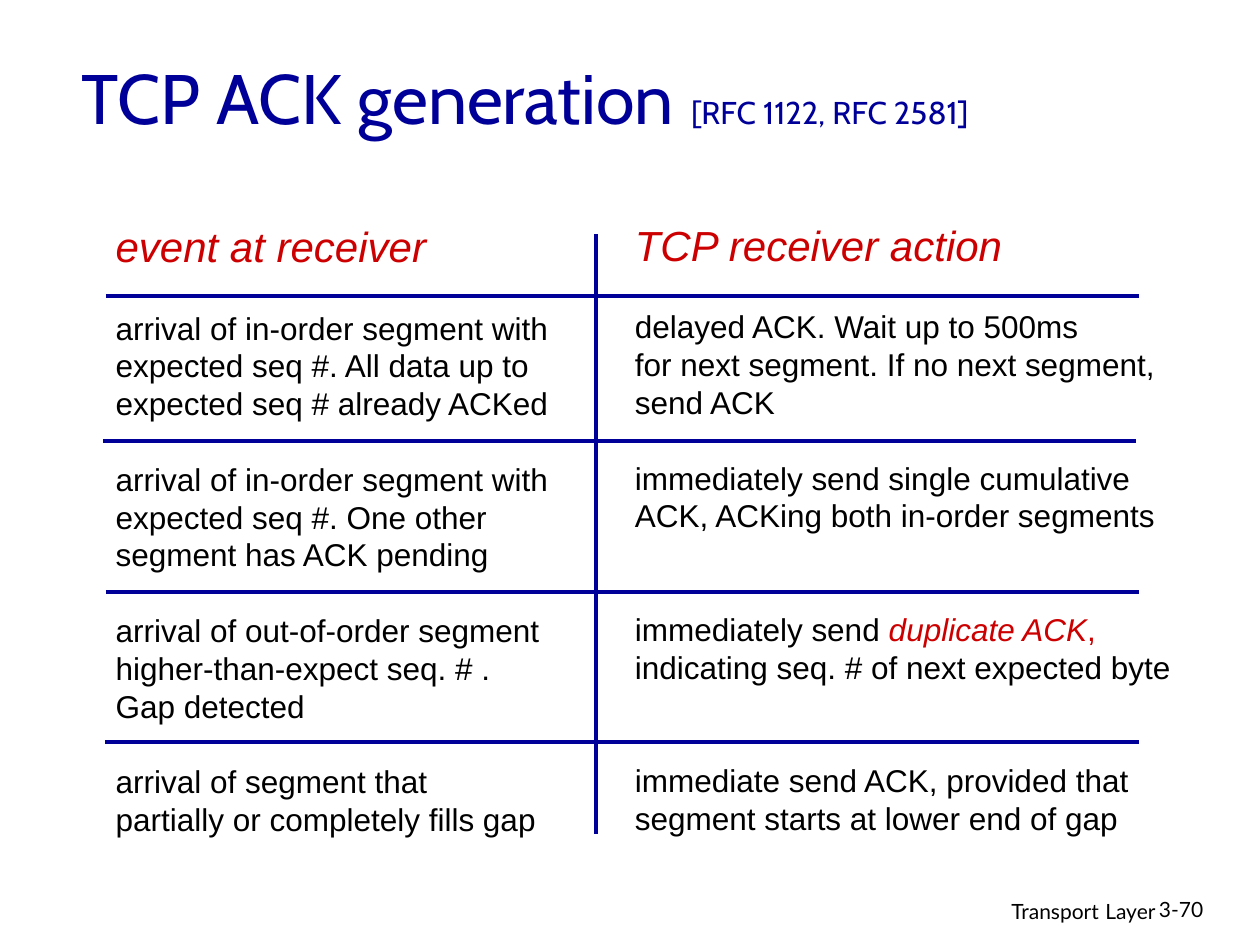
from pptx import Presentation
from pptx.dml.color import RGBColor
from pptx.enum.shapes import MSO_CONNECTOR as Conn
from pptx.enum.text import MSO_ANCHOR as Anchor, PP_ALIGN as Align
from pptx.oxml.ns import qn
from pptx.util import Pt
from lxml.etree import SubElement as Sub

BLUE, RED, BLACK = "000099", "CC0000", "000000"


def paint(code):
    return RGBColor.from_string(code)


class Deck:
    """Holds the style and the current slide."""
    body, head, foot = "Arial", "Cabin", "Lato"
    size, lead = 18, 1.2

    def __init__(self, wide, high):
        self.prs = Presentation()
        self.prs.slide_width, self.prs.slide_height = Pt(wide), Pt(high)
        self.slide = self.prs.slides.add_slide(self.prs.slide_layouts[6])

    def frame(self, x, y, w, h, wrap=True, anchor=Anchor.TOP):
        box = self.slide.shapes.add_textbox(Pt(x), Pt(y), Pt(w), Pt(h))
        frame = box.text_frame
        frame.word_wrap, frame.vertical_anchor = wrap, anchor
        return frame

    def run(self, para, text, font, size, color, slant=False):
        run = para.add_run()
        run.text = text
        face = run.font
        face.name, face.size, face.italic = font, Pt(size), slant
        face.color.rgb = paint(color)

    def label(self, place, parts, font, color, align=Align.LEFT, **kind):
        para = self.frame(*place, **kind).paragraphs[0]
        para.alignment = align
        for text, size in parts:
            self.run(para, text, font, size, color)

    def column(self, place, head, cells):
        frame = self.frame(*place, wrap=False)
        para = frame.paragraphs[0]
        para.line_spacing = Pt(24 * self.lead)
        self.run(para, head, self.body, 24, RED, True)
        step = self.size * self.lead
        for gap, lines in cells:
            for row, line in enumerate(lines):
                para = frame.add_paragraph()
                para.line_spacing = Pt(step)
                para.space_before = Pt(0 if row else gap * step)
                for text, color, slant in line:
                    self.run(para, text, self.body, self.size, color, slant)

    def line(self, x1, y1, x2, y2):
        line = self.slide.shapes.add_connector(
            Conn.STRAIGHT, Pt(x1), Pt(y1), Pt(x2), Pt(y2))
        line.line.color.rgb, line.line.width = paint(BLUE), Pt(2.25)
        Sub(line._element.spPr, qn("a:effectLst"))


def plain(*lines):
    return [[(text, BLACK, False)] for text in lines]


def main():
    deck = Deck(720, 540)

    # Footer and page number
    deck.label((439.2, 507.6, 228.2, 22.3),
               [("Transport", 12), (" ", 14), ("Layer", 12)],
               deck.foot, BLACK, Align.RIGHT)
    deck.label((655.2, 509, 53.3, 21.6), [("3-70", 12)], deck.foot, BLACK)

    # Title
    deck.label((39.6, 27.4, 612, 52.6),
               [("TCP ACK generation", 40), (" ", 44),
                ("[RFC 1122, RFC 2581]", 18)],
               deck.head, BLUE, anchor=Anchor.MIDDLE)

    # Columns: each cell is its gap above, in lines, and its text
    deck.column((59, 122.4, 262.8, 393.8), "event at receiver", [
        (1, plain("arrival of in-order segment with",
                  "expected seq #. All data up to",
                  "expected seq # already ACKed")),
        (1, plain("arrival of in-order segment with",
                  "expected seq #. One other",
                  "segment has ACK pending")),
        (1, plain("arrival of out-of-order segment",
                  "higher-than-expect seq. # .",
                  "Gap detected")),
        (1, plain("arrival of segment that",
                  "partially or completely fills gap")),
    ])
    twin = [("immediately send ", BLACK, False),
            ("duplicate ACK", RED, True), (",", RED, False)]
    deck.column((355.7, 121.7, 320.4, 393.8), "TCP receiver action", [
        (1, plain("delayed ACK. Wait up to 500ms",
                  "for next segment. If no next segment,",
                  "send ACK")),
        (1, plain("immediately send single cumulative",
                  "ACK, ACKing both in-order segments")),
        (2, [twin] + plain("indicating seq. # of next expected byte")),
        (2, plain("immediate send ACK, provided that",
                  "segment starts at lower end of gap")),
    ])

    # Rules between columns and rows
    deck.line(340.6, 134, 340.6, 476.6)
    for x, y in ((60.5, 169.2), (59, 252), (60.5, 338.4), (60.2, 424.1)):
        deck.line(x, y, x + 590.4, y)

    deck.prs.save("out.pptx")


if __name__ == "__main__":
    main()
